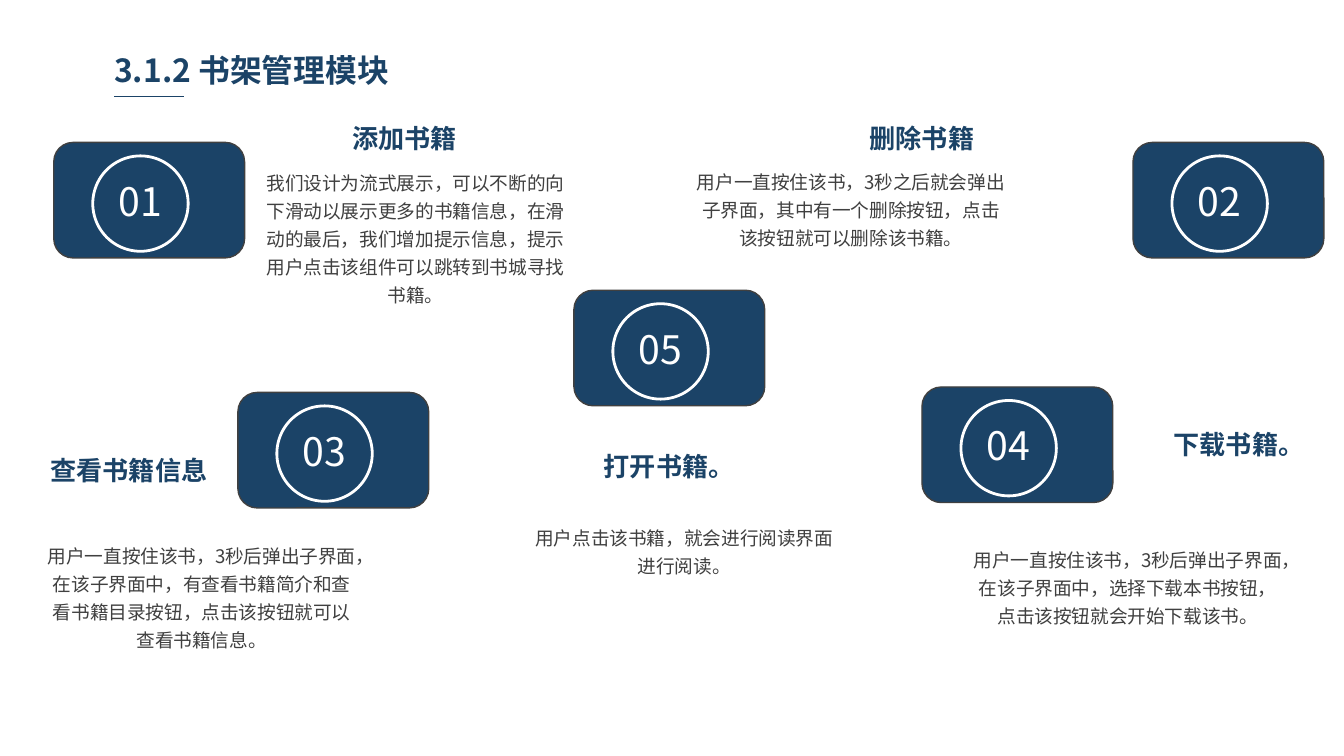
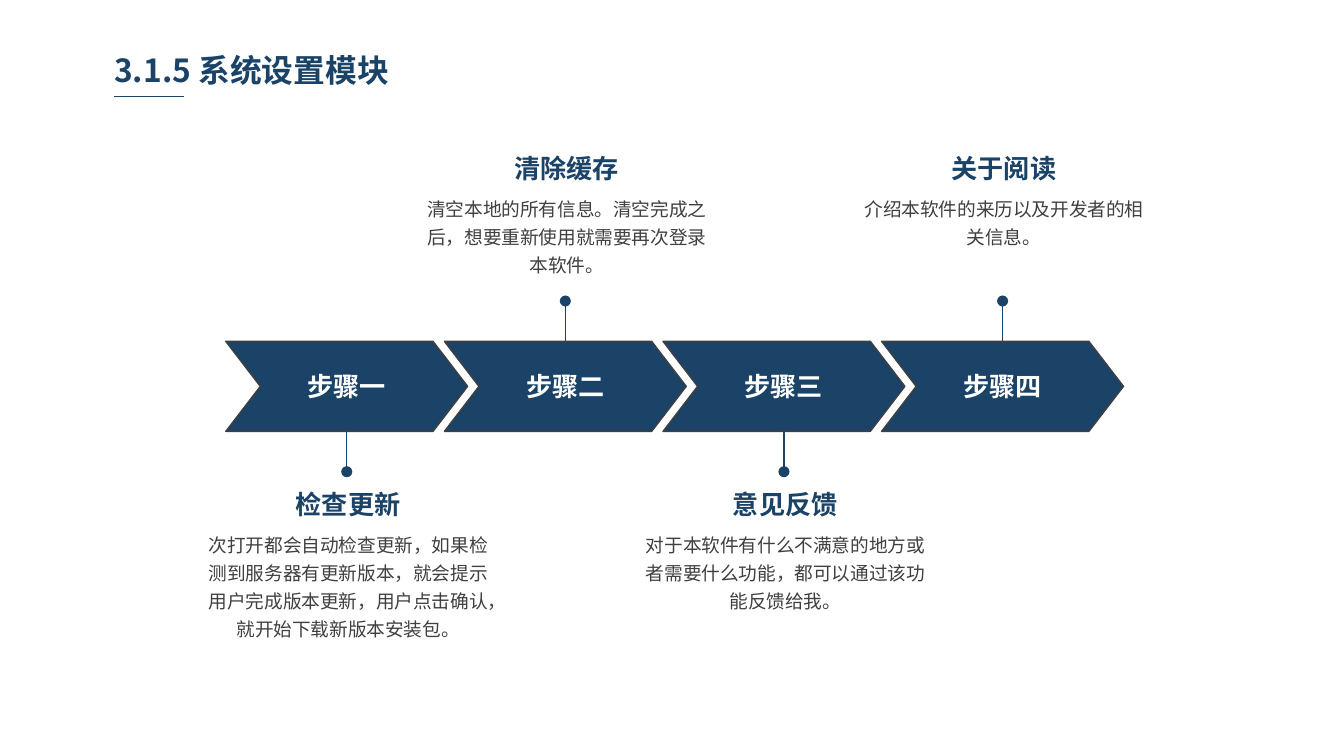
from dataclasses import dataclass
from math import ceil
from typing import NamedTuple

from lxml.etree import SubElement
from pptx import Presentation
from pptx.dml.color import RGBColor
from pptx.enum.shapes import MSO_CONNECTOR, MSO_SHAPE as Preset
from pptx.enum.text import MSO_ANCHOR as Anchor, MSO_AUTO_SIZE as AutoSize, PP_ALIGN as Align
from pptx.oxml.ns import qn
from pptx.shapes.autoshape import Shape
from pptx.slide import Slide
from pptx.text.text import TextFrame
from pptx.util import Inches, Pt


@dataclass(frozen=True)
class Theme:
    navy: RGBColor = RGBColor(0x1B, 0x43, 0x67)
    charcoal: RGBColor = RGBColor(0x40, 0x40, 0x40)
    white: RGBColor = RGBColor(0xFF, 0xFF, 0xFF)
    font: str = "Noto Sans CJK SC"
    title_size: float = 17
    heading_size: float = 14
    body_size: float = 10
    number_size: float = 21
    body_leading: float = 15
    thin: float = 0.75
    ring: float = 1.5


THEME = Theme()
SLIDE_WIDTH = Inches(10)
SLIDE_HEIGHT = SLIDE_WIDTH * 9 // 16
INSET_X, INSET_Y = 0.07, 0.04
BOX_INSETS = {
    "margin_left": Inches(INSET_X),
    "margin_right": Inches(INSET_X),
    "margin_top": Inches(INSET_Y),
    "margin_bottom": Inches(INSET_Y),
}
NO_INSETS = dict.fromkeys(BOX_INSETS, 0)


class TextStyle(NamedTuple):
    size: float
    color: RGBColor
    bold: bool = False
    align: Align = Align.CENTER
    spacing: float | Pt | None = None


TITLE = TextStyle(THEME.title_size, THEME.navy, True, Align.LEFT)
HEADING = TextStyle(THEME.heading_size, THEME.navy, True)
BODY = TextStyle(THEME.body_size, THEME.charcoal, spacing=Pt(THEME.body_leading))
NUMBER = TextStyle(THEME.number_size, THEME.white, spacing=0.9)
STEP_LABEL = TextStyle(THEME.heading_size, THEME.white, True)


class Point(NamedTuple):
    x: float
    y: float


class ShelfAction(NamedTuple):
    number: str
    badge_at: Point
    heading: str
    heading_at: Point
    body: str
    body_at: Point


class Step(NamedTuple):
    label: str
    heading: str
    body: str


SHELF_ACTIONS = [
    ShelfAction(
        "01", Point(0.4, 1.06), "添加书籍", Point(2.54, 0.87),
        "我们设计为流式展示，可以不断的向下滑动以展示更多的书籍信息，在滑动的最后，"
        "我们增加提示信息，提示用户点击该组件可以跳转到书城寻找书籍。",
        Point(1.85, 1.2)),
    ShelfAction(
        "02", Point(8.43, 1.06), "删除书籍", Point(6.39, 0.87),
        "用户一直按住该书，3秒之后就会弹出子界面，其中有一个删除按钮，"
        "点击该按钮就可以删除该书籍。",
        Point(5.09, 1.19)),
    ShelfAction(
        "03", Point(1.77, 2.92), "查看书籍信息", Point(0.29, 3.34),
        "用户一直按住该书，3秒后弹出子界面，在该子界面中，"
        "有查看书籍简介和查看书籍目录按钮，点击该按钮就可以查看书籍信息。",
        Point(0.26, 3.97)),
    ShelfAction(
        "04", Point(6.86, 2.88), "下载书籍。", Point(8.65, 3.15),
        "用户一直按住该书，3秒后弹出子界面，在该子界面中，选择下载本书按钮，"
        "点击该按钮就会开始下载该书。",
        Point(7.15, 4)),
    ShelfAction(
        "05", Point(4.27, 2.16), "打开书籍。", Point(4.41, 3.31),
        "用户点击该书籍，就会进行阅读界面进行阅读。",
        Point(3.85, 3.84)),
]
SHELF_BODY_WIDTH = 2.48

STEPS = [
    Step("步骤一", "检查更新",
         "次打开都会自动检查更新，如果检测到服务器有更新版本，就会提示"
         "用户完成版本更新，用户点击确认，就开始下载新版本安装包。"),
    Step("步骤二", "清除缓存",
         "清空本地的所有信息。清空完成之后，想要重新使用就需要再次登录本软件。"),
    Step("步骤三", "意见反馈",
         "对于本软件有什么不满意的地方或者需要什么功能，都可以通过该功能反馈给我。"),
    Step("步骤四", "关于阅读",
         "介绍本软件的来历以及开发者的相关信息。"),
]
STEP_BODY_WIDTH = 2.27
STEP_LEFT, STEP_LAST_LEFT, STEP_TOP = 1.68, 6.56, 2.54
STEP_PITCH = (STEP_LAST_LEFT - STEP_LEFT) / (len(STEPS) - 1)
STEP_WIDTH, STEP_HEIGHT = 1.8, 0.67
PIN_LENGTH = 0.3
HEADING_ABOVE, HEADING_BELOW = 1.09, 3.59


def apply(target: object, values: dict) -> None:
    for key, value in values.items():
        setattr(target, key, value)


def write(frame: TextFrame, text: str, style: TextStyle) -> None:
    paragraph = frame.paragraphs[0]
    apply(paragraph, {"alignment": style.align, "line_spacing": style.spacing})
    run = paragraph.add_run()
    run.text = text
    apply(run.font, {"name": THEME.font, "size": Pt(style.size), "bold": style.bold})
    run.font.color.rgb = style.color
    SubElement(run.font._element, qn("a:ea"), typeface=THEME.font)


def add_text(slide: Slide, at: Point, width: float, height: float,
             text: str, style: TextStyle, wrap: bool = True) -> None:
    box = slide.shapes.add_textbox(Inches(at.x), Inches(at.y), Inches(width), Inches(height))
    apply(box.text_frame, BOX_INSETS | {
        "word_wrap": wrap, "auto_size": AutoSize.SHAPE_TO_FIT_TEXT})
    write(box.text_frame, text, style)


def heading_width(text: str) -> float:
    return 2 * INSET_X + len(text) * 0.2


def add_heading(slide: Slide, at: Point, text: str) -> None:
    add_text(slide, at, heading_width(text), 0.31, text, HEADING, wrap=False)


def add_body(slide: Slide, at: Point, width: float, text: str) -> None:
    """Add body text in a box as tall as its full-width characters need."""
    per_line = int((width - 2 * INSET_X) * 72 / THEME.body_size)
    lines = ceil(len(text) / per_line)
    height = lines * THEME.body_leading / 72 + 2 * INSET_Y
    add_text(slide, at, width, height, text, BODY)


def add_navy_shape(slide: Slide, preset: Preset, at: Point, width: float, height: float,
                   outline: RGBColor = THEME.charcoal, weight: float = THEME.thin) -> Shape:
    shape = slide.shapes.add_shape(
        preset, Inches(at.x), Inches(at.y), Inches(width), Inches(height))
    shape.shadow.inherit = False
    shape.fill.solid()
    shape.fill.fore_color.rgb = THEME.navy
    shape.line.color.rgb = outline
    shape.line.width = Pt(weight)
    return shape


def add_line(slide: Slide, start: Point, end: Point, dot: bool = False) -> None:
    line = slide.shapes.add_connector(
        MSO_CONNECTOR.STRAIGHT,
        Inches(start.x), Inches(start.y), Inches(end.x), Inches(end.y))
    line.line.color.rgb = THEME.navy
    line.line.width = Pt(THEME.thin)
    if dot:
        SubElement(line.line._get_or_add_ln(), qn("a:tailEnd"), type="oval")
    SubElement(line._element.spPr, qn("a:effectLst"))


def add_titled_slide(deck: Presentation, title: str) -> Slide:
    slide = deck.slides.add_slide(deck.slide_layouts[6])
    add_text(slide, Point(0.78, 0.34), 2.47, 0.36, title, TITLE)
    add_line(slide, Point(0.85, 0.72), Point(1.37, 0.72))
    return slide


def add_badge(slide: Slide, at: Point, number: str) -> None:
    add_navy_shape(slide, Preset.ROUNDED_RECTANGLE, at, 1.42, 0.86)
    ring = add_navy_shape(slide, Preset.OVAL, Point(at.x + 0.29, at.y + 0.1),
                          0.71, 0.71, THEME.white, THEME.ring)
    apply(ring.text_frame, NO_INSETS | {
        "word_wrap": False, "vertical_anchor": Anchor.MIDDLE})
    write(ring.text_frame, number, NUMBER)


def add_shelf_action(slide: Slide, action: ShelfAction) -> None:
    add_badge(slide, action.badge_at, action.number)
    add_heading(slide, action.heading_at, action.heading)
    add_body(slide, action.body_at, SHELF_BODY_WIDTH, action.body)


def add_step(slide: Slide, index: int, step: Step) -> None:
    """Draw a chevron with its pin and note, below for even indexes and above for odd."""
    left = STEP_LEFT + index * STEP_PITCH
    chevron = add_navy_shape(slide, Preset.CHEVRON, Point(left, STEP_TOP),
                             STEP_WIDTH, STEP_HEIGHT)
    chevron.adjustments[0] = 0.384
    apply(chevron.text_frame, BOX_INSETS | {
        "word_wrap": True, "vertical_anchor": Anchor.MIDDLE})
    write(chevron.text_frame, step.label, STEP_LABEL)

    center = left + STEP_WIDTH / 2
    below = index % 2 == 0
    edge = STEP_TOP + STEP_HEIGHT if below else STEP_TOP
    tip = edge + PIN_LENGTH if below else edge - PIN_LENGTH
    add_line(slide, Point(center, edge), Point(center, tip), dot=True)

    note_center = center + 0.01
    heading_top = HEADING_BELOW if below else HEADING_ABOVE
    add_heading(slide, Point(note_center - heading_width(step.heading) / 2, heading_top),
                step.heading)
    add_body(slide, Point(note_center - STEP_BODY_WIDTH / 2, heading_top + 0.3),
             STEP_BODY_WIDTH, step.body)


def main() -> None:
    deck = Presentation()
    apply(deck, {"slide_width": SLIDE_WIDTH, "slide_height": SLIDE_HEIGHT})

    shelf = add_titled_slide(deck, "3.1.2 书架管理模块")
    for action in SHELF_ACTIONS:
        add_shelf_action(shelf, action)

    settings = add_titled_slide(deck, "3.1.5 系统设置模块")
    for index, step in enumerate(STEPS):
        add_step(settings, index, step)

    deck.save("out.pptx")


if __name__ == "__main__":
    main()
